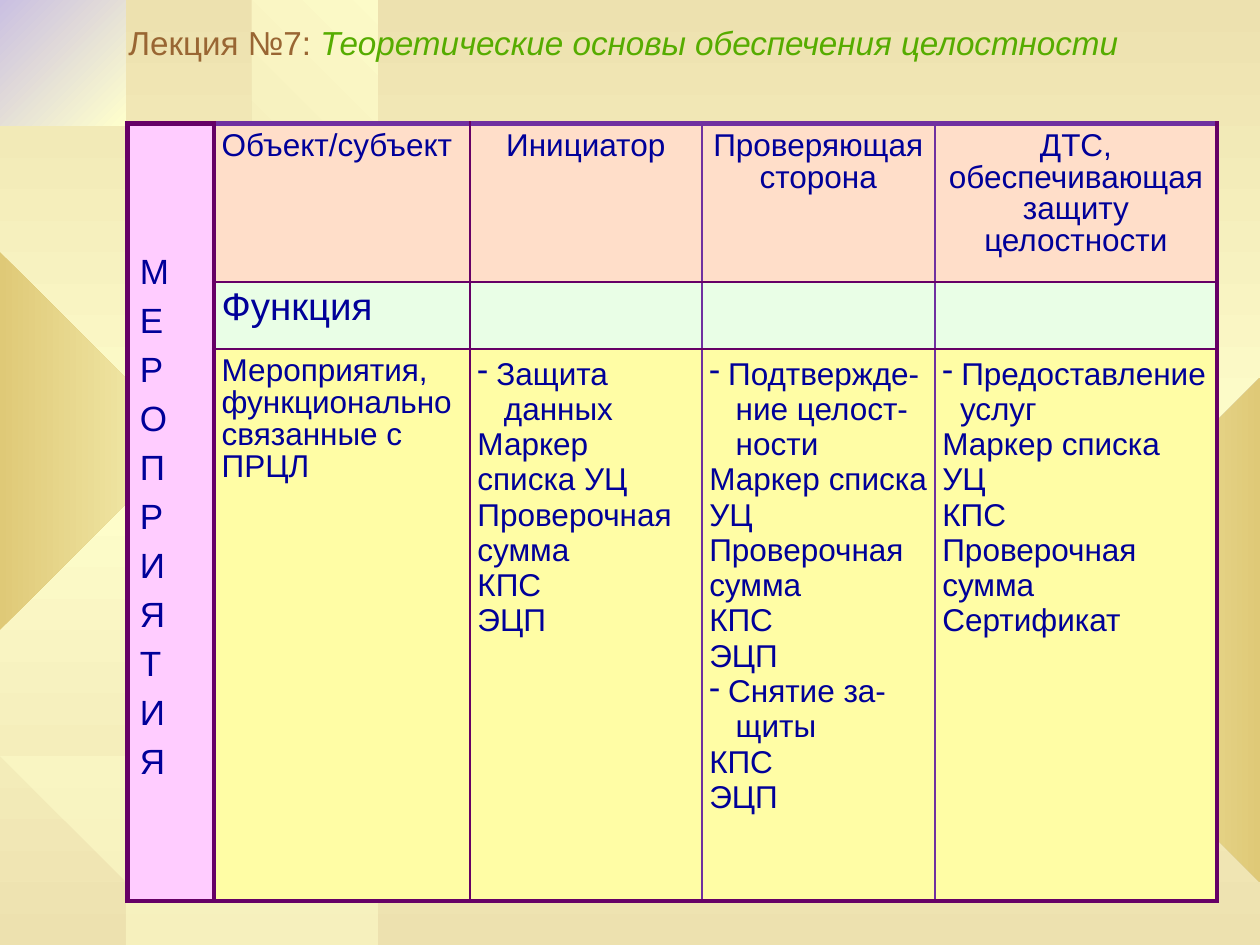
from collections import namedtuple
from dataclasses import dataclass

from lxml.etree import SubElement
from pptx import Presentation
from pptx.dml.color import RGBColor
from pptx.enum.text import MSO_ANCHOR, PP_ALIGN
from pptx.oxml.ns import qn
from pptx.util import Inches, Pt


@dataclass(frozen=True)
class Theme:
    font: str = "Arial"
    sand: str = "EDE1AF"
    cream: str = "FFFFCC"
    gold: str = "DFC977"
    lilac: str = "CAC0E2"
    navy: str = "000099"
    brown: str = "996633"
    green: str = "56AC00"
    plum: str = "660066"
    violet: str = "7030A0"
    side: str = "FFCCFF"
    row_fills: tuple = ("FFDEC9", "E9FEE6", "FFFDA5")
    title_size: float = 19
    side_size: float = 20
    function_size: float = 22
    body_size: float = 18
    thick: float = 3
    thin: float = 1.5


THEME = Theme()
WIDTH, HEIGHT = 10, 7.5
COLUMNS = (0.69, 2.03, 1.84, 1.85, 2.24)
ROWS = (1.26, 0.53, 4.38)

# One gear outline on a 401-unit square, reused at every size
GEAR_UNITS = 401
GEAR = (
    (255, 67), (223, 59), (219, 0), (180, 3), (177, 59), (151, 68), (113, 20), (87, 35),
    (112, 88), (94, 106), (38, 85), (25, 107), (68, 145), (61, 174), (1, 178), (0, 210),
    (61, 219), (67, 246), (22, 287), (38, 312), (88, 288), (107, 307), (81, 355), (106, 375),
    (151, 332), (177, 341), (183, 400), (222, 401), (226, 339), (259, 330), (299, 374),
    (325, 358), (299, 306), (316, 284), (368, 309), (384, 281), (336, 246), (342, 216),
    (401, 210), (400, 180), (341, 171), (335, 148), (383, 114), (367, 87), (313, 109),
    (296, 91), (323, 41), (297, 25),
)

Line = namedtuple("Line", "text margin dash", defaults=(0, False))


def dash(text):
    return Line(text, 0.15, True)


def hang(text, margin=0.21):
    return Line(text, margin)


def plain(*texts):
    return [Line(text) for text in texts]


MARKER, CHECKSUM, KPS, SIGNATURE = plain("Маркер списка УЦ", "Проверочная сумма", "КПС", "ЭЦП")
CELLS = (
    (plain("Объект/субъект"), plain("Инициатор"), plain("Проверяющая сторона"),
     plain("ДТС, обеспечивающая защиту целостности")),
    (plain("Функция"), [], [], []),
    (plain("Мероприятия, функционально связанные с ПРЦЛ"),
     [dash("Защита"), hang("данных"), MARKER, CHECKSUM, KPS, SIGNATURE],
     [dash("Подтвержде-"), hang("ние целост-"), hang("ности"), MARKER, CHECKSUM, KPS,
      SIGNATURE, dash("Снятие за-"), hang("щиты"), KPS, SIGNATURE],
     [dash("Предоставление"), hang("услуг", 0.14), MARKER, KPS, CHECKSUM, *plain("Сертификат")]),
)


def set_gradient(fill, owner, colors, angle):
    """Spread the colours evenly along a straight gradient."""
    fill.gradient()
    gradient = next(owner.iter(qn("a:gradFill")))
    stops = gradient.find(qn("a:gsLst"))
    for stop in list(stops):
        stops.remove(stop)
    for index, color in enumerate(colors):
        position = 100000 * index // (len(colors) - 1)
        stop = SubElement(stops, qn("a:gs"), pos=str(position))
        SubElement(stop, qn("a:srgbClr"), val=color)
    gradient.find(qn("a:lin")).set("ang", str(angle * 60000))


def add_gear(slide, left, top, width, height, colors, angle=0):
    """Scale the gear into a box and keep it within the slide."""
    points = [(min(max(left + x * width / GEAR_UNITS, 0), WIDTH),
               min(max(top + y * height / GEAR_UNITS, 0), HEIGHT)) for x, y in GEAR]
    builder = slide.shapes.build_freeform(*points[0], scale=Inches(1))
    builder.add_line_segments(points[1:], close=True)
    shape = builder.convert_to_shape()
    shape.shadow.inherit = False
    shape.line.fill.background()
    if len(colors) > 1:
        set_gradient(shape.fill, shape.element, colors, angle)
    else:
        shape.fill.solid()
        shape.fill.fore_color.rgb = RGBColor.from_string(colors[0])
        color = next(shape.element.spPr.iter(qn("a:srgbClr")))
        SubElement(color, qn("a:alpha"), val="50000")


def add_text(paragraph, text, size=THEME.body_size, color=THEME.navy, italic=False):
    run = paragraph.add_run()
    run.text = text
    run.font.name = THEME.font
    run.font.size = Pt(size)
    run.font.italic = italic
    run.font.color.rgb = RGBColor.from_string(color)


def write_lines(frame, lines, spacing=None, align=PP_ALIGN.LEFT, **text_format):
    for index, line in enumerate(lines):
        paragraph = frame.add_paragraph() if index else frame.paragraphs[0]
        paragraph.alignment = align
        paragraph.line_spacing = spacing
        properties = paragraph._p.get_or_add_pPr()
        properties.set("marL", str(Inches(line.margin)))
        properties.set("indent", str(-Inches(line.margin) if line.dash else 0))
        if line.dash:
            SubElement(properties, qn("a:buChar"), char="-")
        add_text(paragraph, line.text, **text_format)


def style_cell(cell, fill, borders, margins):
    """Borders are (colour, width) for left, right, top and bottom."""
    properties = cell._tc.get_or_add_tcPr()
    for side, (color, width) in zip("LRTB", borders):
        line = SubElement(properties, qn(f"a:ln{side}"), w=str(Pt(width)))
        SubElement(SubElement(line, qn("a:solidFill")), qn("a:srgbClr"), val=color)
    cell.fill.solid()
    cell.fill.fore_color.rgb = RGBColor.from_string(fill)
    (cell.margin_left, cell.margin_top,
     cell.margin_right, cell.margin_bottom) = map(Inches, margins)


def cell_borders(row, column):
    outer, inner = (THEME.plum, THEME.thick), (THEME.plum, THEME.thin)
    divider = (THEME.violet, THEME.thin)
    verticals = (outer, outer, inner, divider, divider, outer)
    top = (THEME.violet, THEME.thick) if row == 0 else inner
    bottom = outer if row == len(ROWS) - 1 else inner
    return verticals[column], verticals[column + 1], top, bottom


def add_measures_table(slide):
    frame = slide.shapes.add_table(len(ROWS), len(COLUMNS), Inches(1.01), Inches(0.98),
                                   Inches(sum(COLUMNS)), Inches(sum(ROWS)))
    table = frame.table
    table.first_row = table.horz_banding = False
    for column, width in zip(table.columns, COLUMNS):
        column.width = Inches(width)
    for row, height in zip(table.rows, ROWS):
        row.height = Inches(height)

    # Side heading, one letter a line
    side = table.cell(0, 0)
    side.merge(table.cell(len(ROWS) - 1, 0))
    for row in range(len(ROWS)):
        style_cell(table.cell(row, 0), THEME.side, [(THEME.plum, THEME.thick)] * 4,
                   (0.1, 0.05, 0.1, 0.05))
    side.vertical_anchor = MSO_ANCHOR.MIDDLE
    write_lines(side.text_frame, plain(*"МЕРОПРИЯТИЯ"), spacing=Pt(28), size=THEME.side_size)

    # Header, function and measures rows
    for row, contents in enumerate(CELLS):
        for column, lines in enumerate(contents, start=1):
            cell = table.cell(row, column)
            heading = row == 0 and column > 1
            margins = (0.04, 0.06, 0.04, 0.04) if heading else (0.06,) * 4
            style_cell(cell, THEME.row_fills[row], cell_borders(row, column), margins)
            write_lines(cell.text_frame, lines,
                        spacing=0.9 if row == 0 or column == 1 else None,
                        align=PP_ALIGN.CENTER if heading else PP_ALIGN.LEFT,
                        size=THEME.function_size if row == 1 else THEME.body_size)


def add_title(slide):
    box = slide.shapes.add_textbox(Inches(0.87), Inches(0.21), Inches(9.13), Inches(0.29))
    frame = box.text_frame
    frame.word_wrap = True
    frame.vertical_anchor = MSO_ANCHOR.MIDDLE
    frame.margin_left = frame.margin_top = frame.margin_right = frame.margin_bottom = 0
    write_lines(frame, [Line("Лекция №7: ", 0.15)], spacing=Pt(20),
                size=THEME.title_size, color=THEME.brown)
    add_text(frame.paragraphs[0], "Теоретические основы обеспечения целостности",
             size=THEME.title_size, color=THEME.green, italic=True)


def main():
    presentation = Presentation()
    presentation.slide_width, presentation.slide_height = Inches(WIDTH), Inches(HEIGHT)
    slide = presentation.slides.add_slide(presentation.slide_layouts[6])
    sand, cream, gold = THEME.sand, THEME.cream, THEME.gold

    # Background and gears
    set_gradient(slide.background.fill, slide.element, (sand, cream, sand), 90)
    add_gear(slide, -0.49, 2.01, 2.96, 2.96, (gold, cream))
    add_gear(slide, 0.12, 0.02, 0.92, 0.86, (THEME.lilac, cream), 45)
    add_gear(slide, 1.3, 0.39, 2.48, 2.48, (sand, cream), 315)
    add_gear(slide, 2.77, 1.39, 4.01, 4.01, (cream, sand), 45)
    add_gear(slide, 0, 5.25, 3.74, 3.74, (cream,))
    add_gear(slide, 4.91, 4.84, 2.48, 2.48, (sand, cream), 45)
    add_gear(slide, 6.18, 0.53, 3.2, 3.2, (cream, sand), 45)
    add_gear(slide, 7.82, 2.8, 4.37, 4.37, (cream, gold))

    # Content
    add_measures_table(slide)
    add_title(slide)
    presentation.save("out.pptx")


if __name__ == "__main__":
    main()
